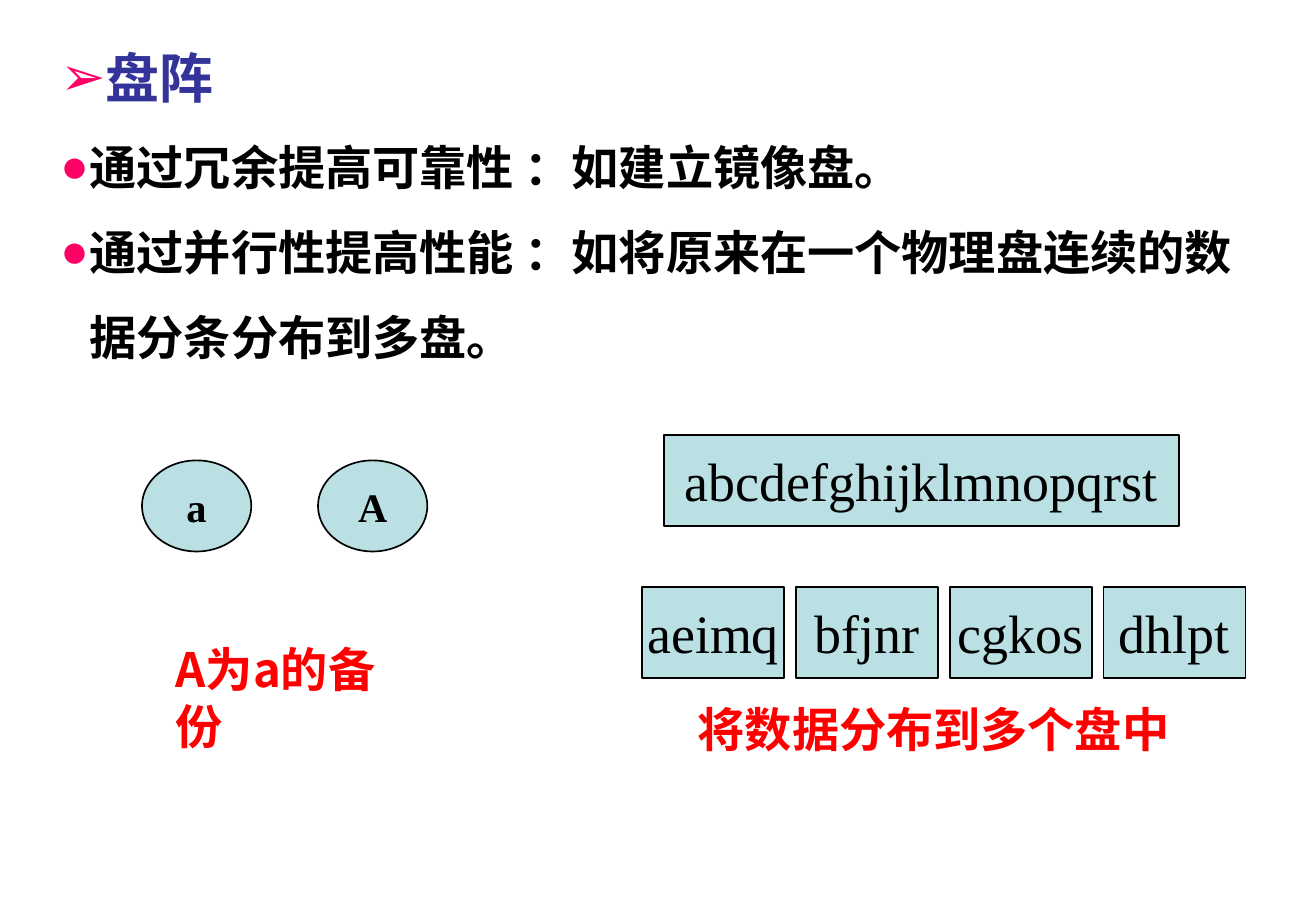
from lxml import etree
from pptx import Presentation
from pptx.dml.color import RGBColor
from pptx.enum import shapes, text
from pptx.oxml import ns
from pptx.util import Inches, Pt

# Content
TITLE = "盘阵"
POINTS = [
    "通过冗余提高可靠性 ：如建立镜像盘。",
    "通过并行性提高性能 ：如将原来在一个物理盘连续的数据分条分布到多盘。",
]
MIRROR_DISKS = ["a", "A"]
MIRROR_CAPTION = "A为a的备份"
SOURCE_DATA = "abcdefghijklmnopqrst"
STRIPE_COUNT = 4
STRIPES = [SOURCE_DATA[i::STRIPE_COUNT] for i in range(STRIPE_COUNT)]
STRIPE_CAPTION = "将数据分布到多个盘中"

# Style
CHINESE, LATIN = "Noto Sans CJK SC", "Times New Roman"
BLACK, RED, NAVY, PINK, PALE_BLUE = "000000", "FF0000", "333399", "FF0066", "BBE0E3"
HANGING = 0.24
DISK_HEIGHT = 0.75


def color(value):
    return RGBColor.from_string(value)


def set_font(paragraph, name, size, fill, bold):
    font = paragraph.font
    font.name, font.size, font.bold = name, Pt(size), bold
    font.color.rgb = color(fill)
    defaults = paragraph._p.pPr.find(ns.qn("a:defRPr"))
    etree.SubElement(defaults, ns.qn("a:ea")).set("typeface", name)


def add_bullet(paragraph, character):
    properties = paragraph._p.get_or_add_pPr()
    properties.set("marL", str(Inches(HANGING)))
    properties.set("indent", str(-Inches(HANGING)))
    bullet_color = etree.SubElement(properties, ns.qn("a:buClr"))
    etree.SubElement(bullet_color, ns.qn("a:srgbClr")).set("val", PINK)
    etree.SubElement(properties, ns.qn("a:buFont")).set("typeface", "Arial")
    etree.SubElement(properties, ns.qn("a:buChar")).set("char", character)


def add_text_box(slide, left, top, width, height, wrap=True):
    frame = slide.shapes.add_textbox(
        Inches(left), Inches(top), Inches(width), Inches(height)).text_frame
    frame.word_wrap = wrap
    return frame


def add_caption(slide, caption, left, top, width, height, wrap):
    paragraph = add_text_box(slide, left, top, width, height, wrap).paragraphs[0]
    paragraph.text = caption
    set_font(paragraph, CHINESE, 28, RED, True)


def add_disk(slide, kind, label, left, top, width, size, bold=False):
    shape = slide.shapes.add_shape(
        kind, Inches(left), Inches(top), Inches(width), Inches(DISK_HEIGHT))
    shape.shadow.inherit = False
    shape.fill.solid()
    shape.fill.fore_color.rgb = color(PALE_BLUE)
    shape.line.color.rgb = color(BLACK)
    shape.line.width = Pt(1)
    frame = shape.text_frame
    frame.word_wrap = False
    frame.vertical_anchor = text.MSO_ANCHOR.MIDDLE
    paragraph = frame.paragraphs[0]
    paragraph.text = label
    paragraph.alignment = text.PP_ALIGN.CENTER
    set_font(paragraph, LATIN, size, BLACK, bold)


def main():
    presentation = Presentation()
    presentation.slide_width, presentation.slide_height = Inches(10.84), Inches(7.5)
    slide = presentation.slides.add_slide(presentation.slide_layouts[6])

    # Heading and points
    frame = add_text_box(slide, 0.4, 0.32, 10.07, 2.74)
    heading = frame.paragraphs[0]
    heading.text = TITLE
    add_bullet(heading, "➢")
    set_font(heading, CHINESE, 32, NAVY, True)
    for point in POINTS:
        paragraph = frame.add_paragraph()
        paragraph.text = point
        paragraph.line_spacing = 1.5
        add_bullet(paragraph, "●")
        set_font(paragraph, CHINESE, 28, BLACK, True)

    # Mirrored disks
    for i, label in enumerate(MIRROR_DISKS):
        add_disk(slide, shapes.MSO_SHAPE.OVAL, label, 1.17 + i * 1.45, 3.79, 0.9, 24, True)
    add_caption(slide, MIRROR_CAPTION, 1.35, 5.22, 2.16, 1.05, True)

    # Data striped over several disks
    rectangle = shapes.MSO_SHAPE.RECTANGLE
    add_disk(slide, rectangle, SOURCE_DATA, 5.47, 3.58, 4.24, 32)
    pitch = (9.09 - 5.29) / (STRIPE_COUNT - 1)
    for i, stripe in enumerate(STRIPES):
        add_disk(slide, rectangle, stripe, 5.29 + i * pitch, 4.83, 1.17, 32)
    add_caption(slide, STRIPE_CAPTION, 5.65, 5.72, 4.08, 0.57, False)

    presentation.save("out.pptx")


if __name__ == "__main__":
    main()
